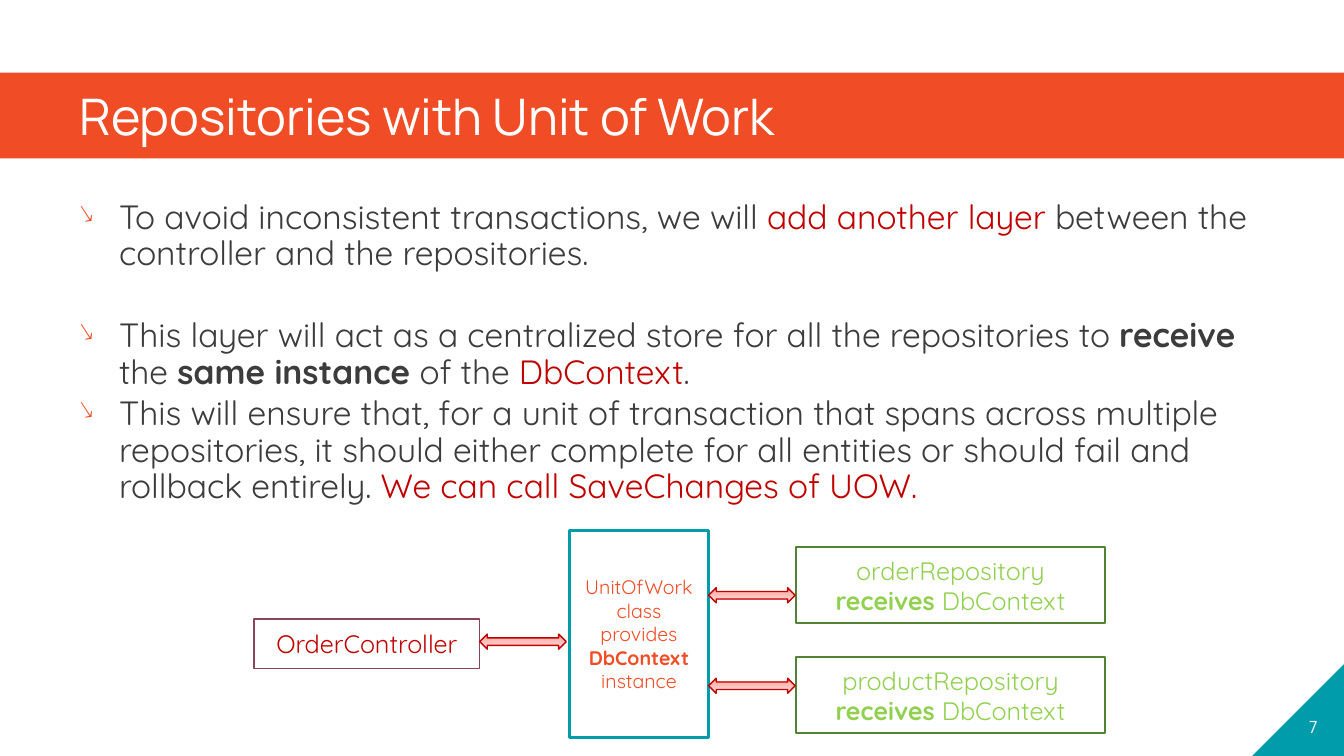
from lxml import etree
from pptx import Presentation
from pptx.dml.color import RGBColor
from pptx.enum.shapes import MSO_SHAPE
from pptx.enum.text import MSO_ANCHOR, MSO_AUTO_SIZE, PP_ALIGN
from pptx.oxml.ns import qn
from pptx.util import Cm, Pt

RECT, ARROW, TRIANGLE = MSO_SHAPE.RECTANGLE, MSO_SHAPE.LEFT_RIGHT_ARROW, MSO_SHAPE.RIGHT_TRIANGLE
MIDDLE, BOTTOM = MSO_ANCHOR.MIDDLE, MSO_ANCHOR.BOTTOM
LEFT, CENTER = PP_ALIGN.LEFT, PP_ALIGN.CENTER
ORANGE, TEAL, RED, GREY = "F04C25", "009CAB", "C00000", "3C3C3C"
PURPLE, GREEN, LIME, WHITE = "8B455B", "548235", "92D050", "FFFFFF"
WIDTH, HEIGHT = 33.87, 19.05


def rgb(value):
    return RGBColor.from_string(value)


def write(p, runs, size, color, font="Quicksand", align=CENTER):
    """Fill a paragraph with (text, bold, colour) runs; a newline breaks the line."""
    p.alignment = align
    for text, bold, run_color in runs:
        for i, line in enumerate(text.split("\n")):
            if i:
                p.add_line_break()
            if line:
                r = p.add_run()
                r.text = line
                r.font.name, r.font.size, r.font.bold = font, Pt(size), bold
                r.font.color.rgb = rgb(run_color or color)


prs = Presentation()
prs.slide_width, prs.slide_height = Cm(WIDTH), Cm(HEIGHT)
slide = prs.slides.add_slide(prs.slide_layouts[5])
shapes = slide.shapes

# Title band
s = shapes.title
s.left, s.top, s.width, s.height = Cm(0), Cm(1.83), Cm(WIDTH), Cm(2.16)
s.fill.solid()
s.fill.fore_color.rgb = rgb(ORANGE)
tf = s.text_frame
tf.auto_size, tf.word_wrap, tf.vertical_anchor = MSO_AUTO_SIZE.NONE, False, MIDDLE
tf.margin_left = tf.margin_right = Cm(2)
tf.margin_top = tf.margin_bottom = 0
write(tf.paragraphs[0], [("Repositories with Unit of Work", False, None)], 36, WHITE,
      font="Manrope", align=LEFT)

# Bulleted text: runs and space after each paragraph
bullets = [
    ([("To avoid inconsistent transactions, we will ", False, None),
      ("add another layer ", False, RED),
      ("between the controller and the repositories.", False, None)], 31),
    ([("This layer will act as a centralized store for all the repositories to ", False, None),
      ("receive", True, None), (" the ", False, None), ("same instance ", True, None),
      ("of the ", False, None), ("DbContext", False, RED), (".", False, None)], 2),
    ([("This will ensure that, for a unit of transaction that spans across multiple "
       "repositories, it should either complete for all entities or should fail and "
       "rollback entirely. ", False, None),
      ("We can call SaveChanges of UOW.", False, RED)], 2),
]
tf = shapes.add_textbox(Cm(0), Cm(4.04), Cm(WIDTH), Cm(12.73)).text_frame
tf.word_wrap = True
tf.margin_left = tf.margin_right = Cm(2)
tf.margin_top = tf.margin_bottom = Cm(1)
for i, (runs, after) in enumerate(bullets):
    p = tf.add_paragraph() if i else tf.paragraphs[0]
    pPr = p._p.get_or_add_pPr()
    pPr.set("marL", str(Cm(1)))
    pPr.set("indent", str(-Cm(1)))
    color = etree.SubElement(pPr, qn("a:buClr"))
    etree.SubElement(color, qn("a:srgbClr"), val=ORANGE)
    etree.SubElement(pPr, qn("a:buSzPct"), val="75000")
    etree.SubElement(pPr, qn("a:buChar"), char="↘")
    p.line_spacing, p.space_before, p.space_after = 0.9, Pt(2 if i else 0), Pt(after)
    write(p, runs, 24, GREY, align=LEFT)

# Diagram boxes: position, outline, text size and colour, runs
receives = [("receives ", True, None), ("DbContext", False, None)]
boxes = [
    (6.4, 15.6, 5.69, 1.24, PURPLE, 1, 18, RED, [("OrderController", False, None)]),
    (20.07, 13.79, 7.77, 1.91, GREEN, 1.5, 18, LIME,
     [("orderRepository\n", False, None)] + receives),
    (20.07, 16.56, 7.77, 1.91, GREEN, 1.5, 18, LIME,
     [("productRepository\n", False, None)] + receives),
    (14.35, 13.36, 3.51, 5.23, TEAL, 2.25, 14, ORANGE,
     [("UnitOfWork\nclass\nprovides ", False, None), ("DbContext\n", True, None),
      ("instance", False, None)]),
]
for x, y, w, h, outline, weight, size, color, runs in boxes:
    s = shapes.add_shape(RECT, Cm(x), Cm(y), Cm(w), Cm(h))
    s.shadow.inherit = False
    s.fill.background()
    s.line.color.rgb, s.line.width = rgb(outline), Pt(weight)
    tf = s.text_frame
    tf.word_wrap, tf.vertical_anchor = True, MIDDLE
    write(tf.paragraphs[0], runs, size, color)

# Double arrows between the boxes
for x, y in [(12.09, 15.98), (17.86, 14.81), (17.86, 17.09)]:
    s = shapes.add_shape(ARROW, Cm(x), Cm(y), Cm(2.18), Cm(0.38))
    s.shadow.inherit = False
    s.fill.gradient()
    s.fill.gradient_angle = 270
    for stop, color in zip(s.fill.gradient_stops, ("FF9F97", "FFE2E0")):
        stop.color.rgb = rgb(color)
    s.line.color.rgb, s.line.width = rgb(RED), Pt(1)

# Page number corner
side = 2.31
s = shapes.add_shape(TRIANGLE, Cm(WIDTH - side), Cm(HEIGHT - side), Cm(side), Cm(side))
s._element.spPr.get_or_add_xfrm().set("flipH", "1")
s.shadow.inherit = False
s.fill.solid()
s.fill.fore_color.rgb = rgb(TEAL)
s.line.fill.background()
tf = s.text_frame
tf.word_wrap, tf.vertical_anchor = False, BOTTOM
tf.margin_left = tf.margin_right = tf.margin_top = 0
tf.margin_bottom = Cm(0.3)
write(tf.paragraphs[0], [("7", False, None)], 12, WHITE, font="Manrope")

prs.save("out.pptx")
